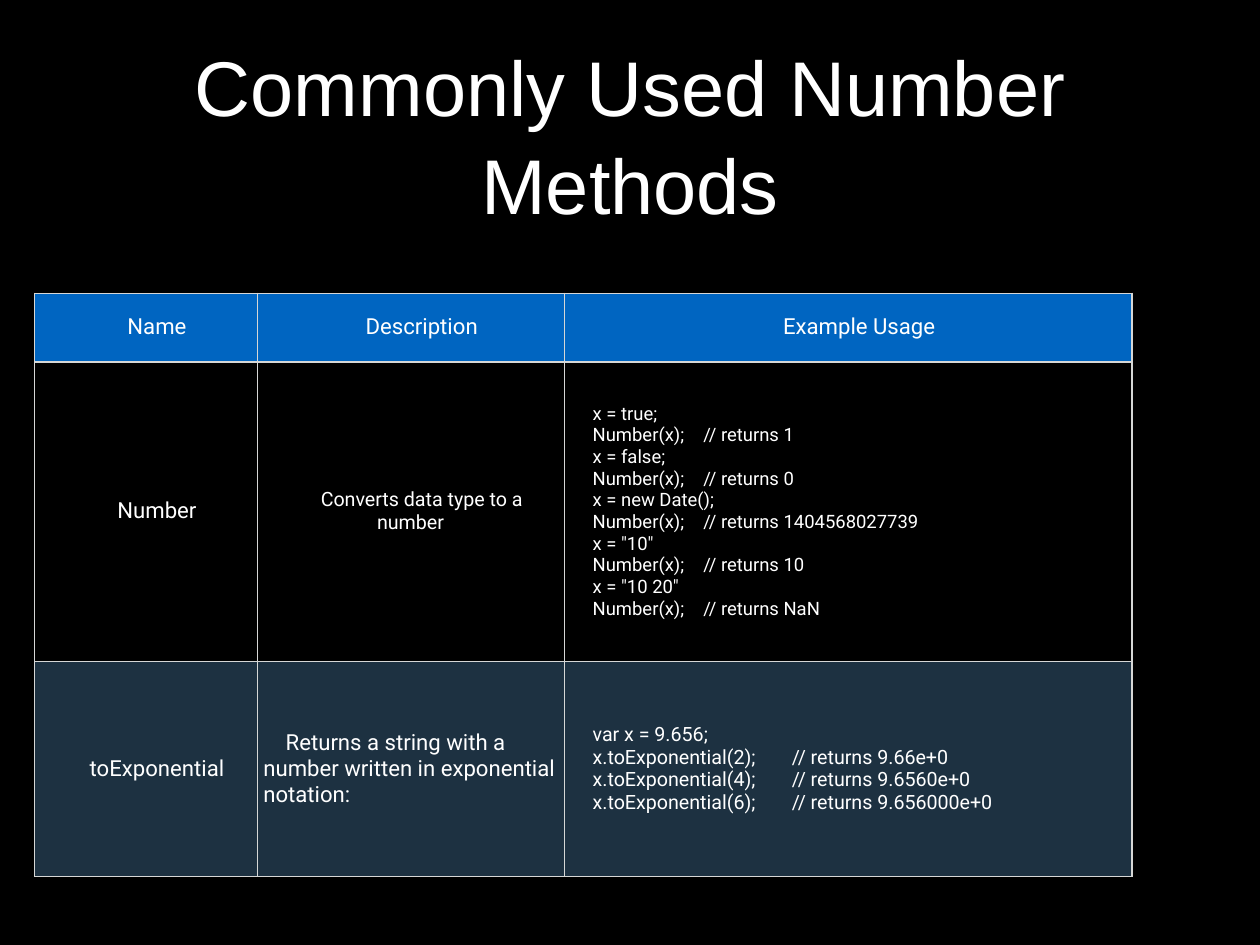
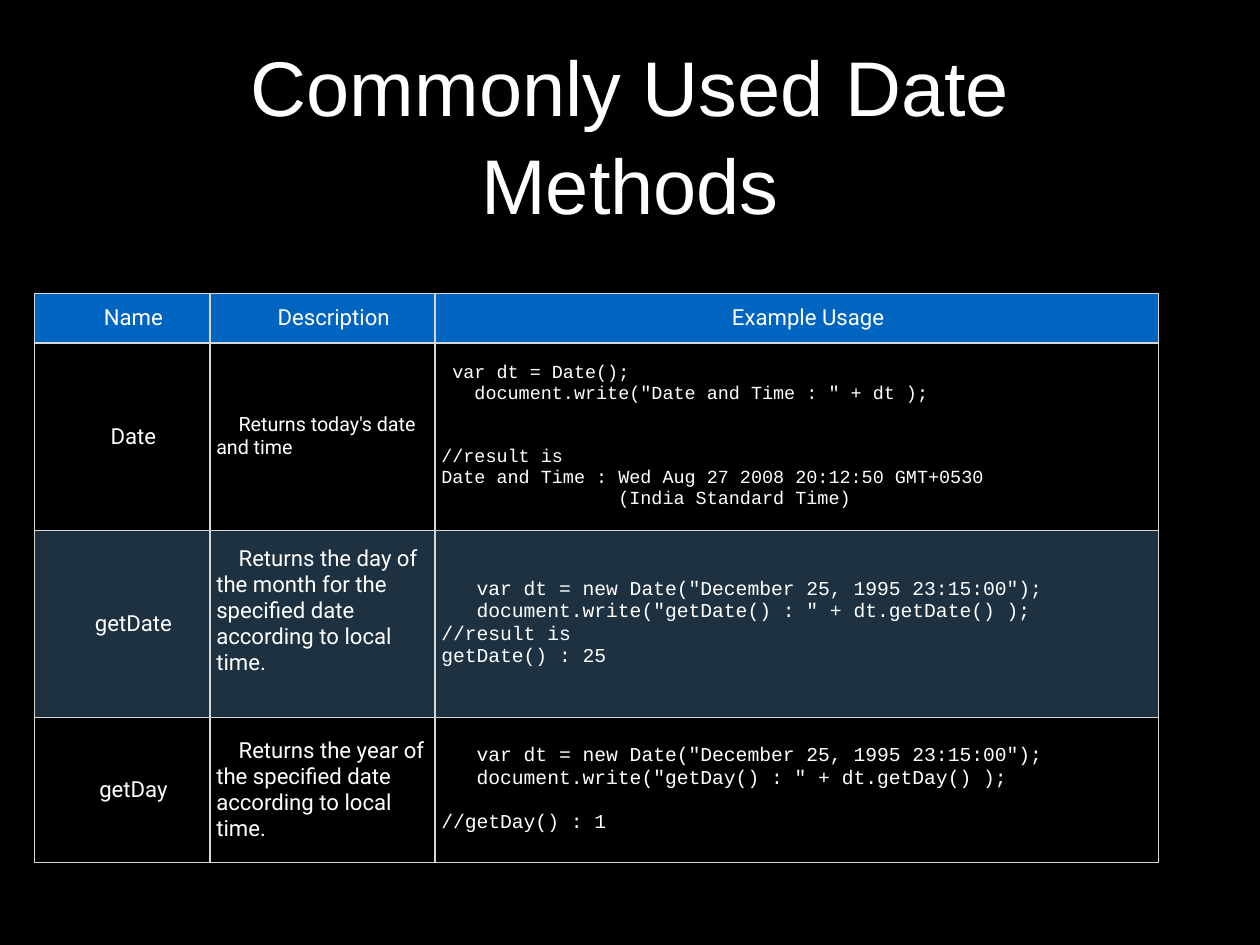
from dataclasses import dataclass

from lxml.etree import SubElement
from pptx import Presentation
from pptx.dml.color import RGBColor
from pptx.enum.text import MSO_ANCHOR, PP_ALIGN
from pptx.oxml.ns import qn
from pptx.util import Cm, Pt


@dataclass(frozen=True)
class Theme:
    background: str = "000000"
    text: str = "FFFFFF"
    header: str = "0065C1"
    band: str = "73C0FC"
    band_opacity: int = 26
    border: str = "D6D7D6"
    title_font: str = "Arial"
    body_font: str = "Roboto"
    code_font: str = "Courier New"
    title_size: int = 63
    body_size: int = 18
    small_size: int = 16
    code_size: int = 15
    thin: int = 1
    thick: int = 2
    inset: float = 0.18
    indent: float = 0.64


THEME = Theme()


@dataclass(frozen=True)
class Line:
    text: str
    before: int = 0


@dataclass(frozen=True)
class Content:
    lines: tuple[Line, ...]
    size: int = THEME.body_size
    font: str = THEME.body_font
    centred: bool = False
    indent: float = THEME.indent
    tab: float = 0
    bottom: float = THEME.inset


@dataclass(frozen=True)
class MethodSlide:
    title: str
    widths: tuple[float, ...]
    heights: tuple[float, ...]
    rows: tuple[tuple[Content, ...], ...]


def label(text: str, size: int = THEME.body_size) -> Content:
    return Content((Line(text),), size, centred=True)


def description(text: str, size: int = THEME.body_size, bottom: float = THEME.inset) -> Content:
    return Content((Line(text),), size, bottom=bottom)


def listing(*lines: str, size: int, tab: float) -> Content:
    return Content(tuple(Line(t) for t in lines), size, tab=tab)


def mono(*lines: Line, size: int = THEME.small_size) -> Content:
    return Content(lines, size, THEME.code_font, indent=0)


HEADER = tuple(label(t) for t in ("Name", "Description", "Example Usage"))

NEW_DATE = Line('   var dt = new Date("December 25, 1995 23:15:00");')

SLIDES = (
    MethodSlide(
        "Commonly Used Number Methods",
        (6.38, 8.8, 16.28),
        (1.96, 8.59, 6.17),
        (
            HEADER,
            (
                label("Number"),
                label("Converts data type to a number", THEME.small_size),
                listing(
                    "x = true;",
                    "Number(x);\t// returns 1",
                    "x = false;",
                    "Number(x);\t// returns 0",
                    "x = new Date();",
                    "Number(x);\t// returns 1404568027739",
                    'x = "10"',
                    "Number(x);\t// returns 10",
                    'x = "10 20"',
                    "Number(x);\t// returns NaN",
                    size=THEME.code_size,
                    tab=4.3,
                ),
            ),
            (
                label("toExponential"),
                description("Returns a string with a number written in exponential notation:"),
                listing(
                    "var x = 9.656;",
                    "x.toExponential(2);\t// returns 9.66e+0",
                    "x.toExponential(4);\t// returns 9.6560e+0",
                    "x.toExponential(6);\t// returns 9.656000e+0",
                    size=THEME.small_size,
                    tab=6,
                ),
            ),
        ),
    ),
    MethodSlide(
        "Commonly Used Date Methods",
        (5.03, 6.45, 20.75),
        (1.42, 5.38, 5.36, 4.17),
        (
            HEADER,
            (
                label("Date"),
                description("Returns today's date and time", THEME.small_size),
                mono(
                    Line(" var dt = Date();"),
                    Line('   document.write("Date and Time : " + dt );'),
                    Line("//result is", before=34),
                    Line("Date and Time : Wed Aug 27 2008 20:12:50 GMT+0530"),
                    Line("                (India Standard Time)"),
                    size=THEME.code_size,
                ),
            ),
            (
                label("getDate"),
                description(
                    "Returns the day of the month for the specified date according to local time.",
                    bottom=0.93,
                ),
                mono(
                    NEW_DATE,
                    Line('   document.write("getDate() : " + dt.getDate() );'),
                    Line("//result is"),
                    Line("getDate() : 25"),
                ),
            ),
            (
                label("getDay"),
                description("Returns the year of the specified date according to local time."),
                mono(
                    NEW_DATE,
                    Line('   document.write("getDay() : " + dt.getDay() );'),
                    Line("//getDay() : 1", before=18),
                ),
            ),
        ),
    ),
)


def add_run(p, text: str, font: str, size: int) -> None:
    r = p.add_run()
    r.text = text
    r.font.name = font
    r.font.size = Pt(size)
    r.font.color.rgb = RGBColor.from_string(THEME.text)


def add_title(s, text: str) -> None:
    tf = s.shapes.add_textbox(Cm(2.64), Cm(0.71), Cm(30.84), Cm(5.99)).text_frame
    tf.word_wrap = True
    tf.vertical_anchor = MSO_ANCHOR.MIDDLE
    tf.margin_left = tf.margin_right = Cm(0.5)
    tf.margin_top, tf.margin_bottom = Cm(THEME.inset), 0
    p = tf.paragraphs[0]
    p.alignment = PP_ALIGN.CENTER
    p.line_spacing = 1.05
    add_run(p, text, THEME.title_font, THEME.title_size)


def write_cell(cell, content: Content) -> None:
    cell.vertical_anchor = MSO_ANCHOR.MIDDLE
    cell.margin_left = cell.margin_right = cell.margin_top = Cm(THEME.inset)
    cell.margin_bottom = Cm(content.bottom)
    tf = cell.text_frame
    for i, line in enumerate(content.lines):
        p = tf.add_paragraph() if i else tf.paragraphs[0]
        p.alignment = PP_ALIGN.CENTER if content.centred else PP_ALIGN.LEFT
        if line.before:
            p.space_before = Pt(line.before)
        pPr = p._p.get_or_add_pPr()
        pPr.set("marL", "0")
        pPr.set("indent", str(Cm(content.indent)))
        if "\t" in line.text:
            tabs = SubElement(pPr, qn("a:tabLst"))
            SubElement(tabs, qn("a:tab"), pos=str(Cm(content.tab)), algn="l")
        add_run(p, line.text, content.font, content.size)


def style_cell(cell, row: int) -> None:
    # Borders come before the fill in the cell properties
    tcPr = cell._tc.get_or_add_tcPr()
    heavy_side = {0: "B", 1: "T"}.get(row)
    for side in "LRTB":
        width = THEME.thick if side == heavy_side else THEME.thin
        ln = SubElement(tcPr, qn(f"a:ln{side}"), w=str(Pt(width)))
        fill = SubElement(ln, qn("a:solidFill"))
        SubElement(fill, qn("a:srgbClr"), val=THEME.border)

    # Blue header, then plain and translucent rows in turn
    if row % 2:
        cell.fill.background()
        return
    cell.fill.solid()
    cell.fill.fore_color.rgb = RGBColor.from_string(THEME.band if row else THEME.header)
    if row:
        color = tcPr.find(qn("a:solidFill")).find(qn("a:srgbClr"))
        SubElement(color, qn("a:alpha"), val=str(THEME.band_opacity * 1000))


def add_methods_table(s, spec: MethodSlide) -> None:
    table = s.shapes.add_table(
        len(spec.heights), len(spec.widths), Cm(0.99), Cm(8.41),
        Cm(sum(spec.widths)), Cm(sum(spec.heights)),
    ).table
    table.first_row = table.horz_banding = False
    for column, width in zip(table.columns, spec.widths):
        column.width = Cm(width)
    for i, (row, height) in enumerate(zip(table.rows, spec.heights)):
        row.height = Cm(height)
        for cell, content in zip(row.cells, spec.rows[i]):
            write_cell(cell, content)
            style_cell(cell, i)


def main() -> None:
    prs = Presentation()
    prs.slide_width, prs.slide_height = Cm(36.12), Cm(27.1)
    for spec in SLIDES:
        s = prs.slides.add_slide(prs.slide_layouts[6])
        s.background.fill.solid()
        s.background.fill.fore_color.rgb = RGBColor.from_string(THEME.background)
        add_title(s, spec.title)
        add_methods_table(s, spec)
    prs.save("out.pptx")


if __name__ == "__main__":
    main()
